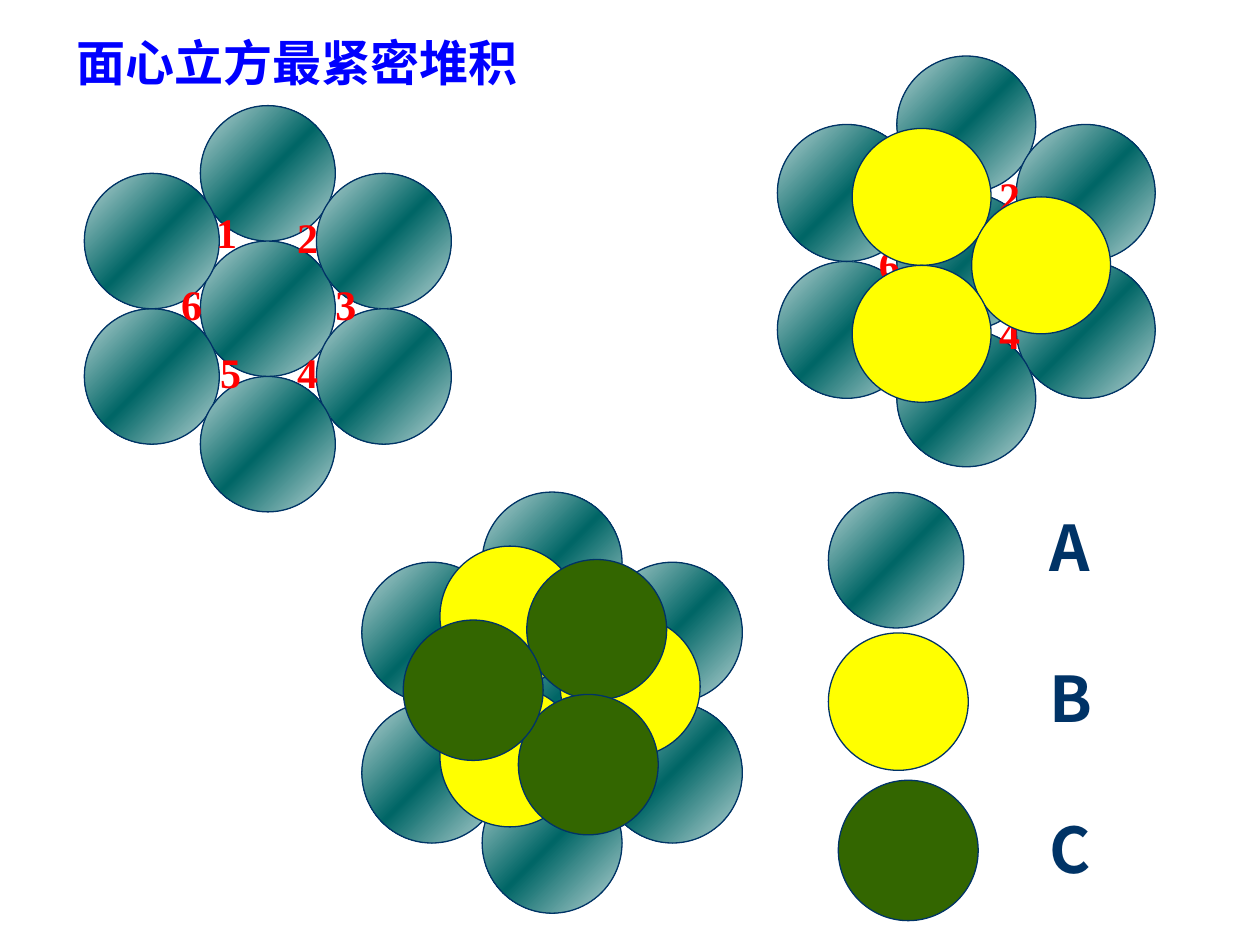
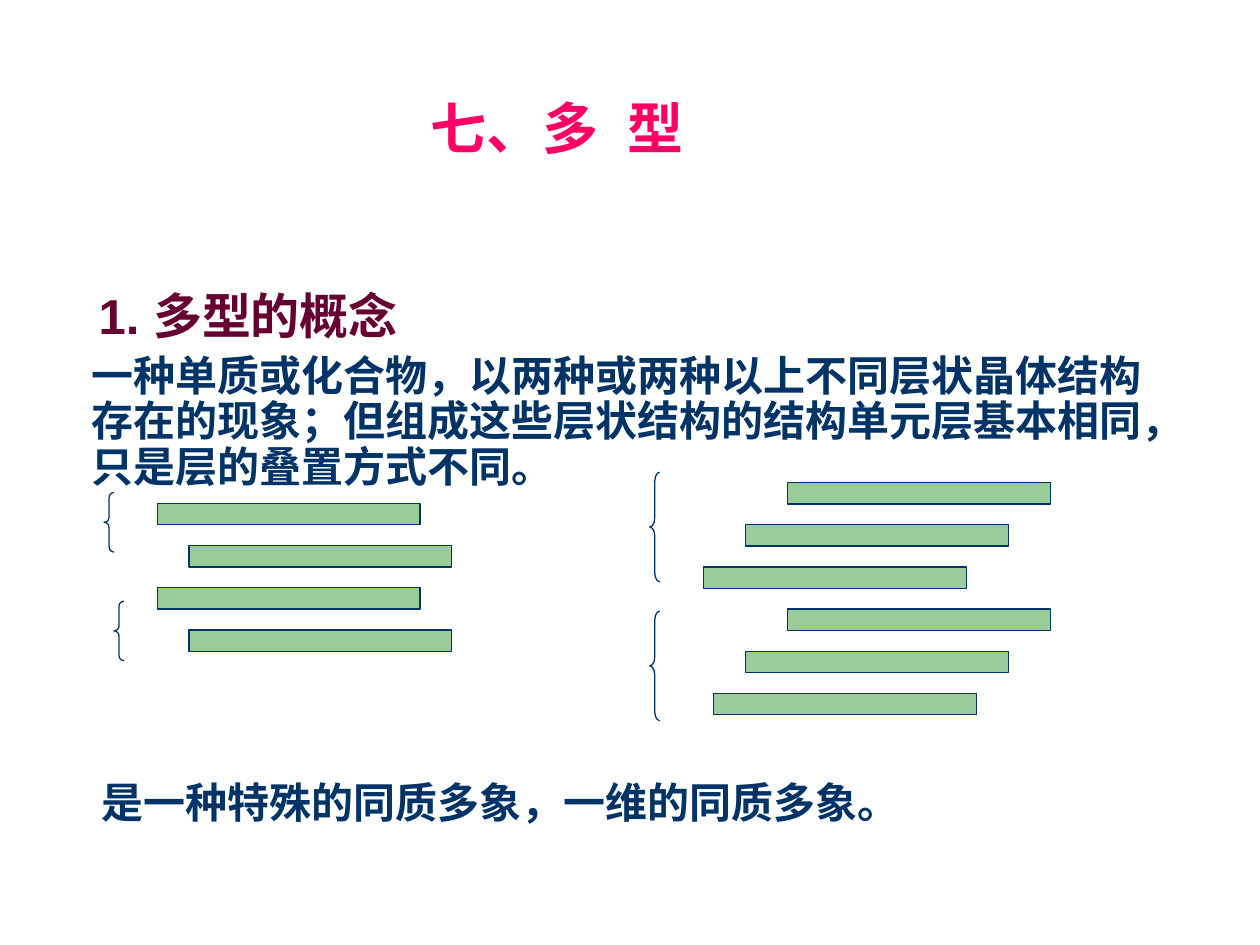
from copy import deepcopy
from dataclasses import dataclass

from lxml.etree import SubElement
from pptx import Presentation
from pptx.dml.color import RGBColor
from pptx.enum.shapes import MSO_SHAPE as Preset
from pptx.enum.text import MSO_ANCHOR as Anchor, MSO_AUTO_SIZE as AutoSize, PP_ALIGN as Align
from pptx.oxml.ns import qn
from pptx.util import Cm, Pt

NAVY, RED, BLUE = "003366", "FF0000", "0000FF"
PINK, MAROON, LAYER_GREEN = "FF0066", "660033", "99CC99"
SPHERE_A, SPHERE_B, SPHERE_C = ("BED8D8", "006666", "BED8D8"), "FFFF00", "336600"
CJK, ARIAL, TIMES = "Noto Sans CJK SC", "Arial", "Times New Roman"

SINGLE = ((0, 0),)
FLOWER = ((0, 0), (0, -1), (1, -0.5), (-1, 0.5), (1, 0.5), (0, 1), (-1, -0.5))
TRIANGLE = ((0, 0), (1, 0.5), (0, 1))
COLUMN_RATIO = 0.86
LAYER_PITCH = 0.85


@dataclass(frozen=True)
class Cluster:
    left: float
    top: float
    width: float
    height: float
    fill: str | tuple
    cells: tuple = SINGLE


@dataclass(frozen=True)
class Label:
    text: str
    left: float
    top: float


@dataclass(frozen=True)
class LayerStack:
    top: float
    lefts: tuple


@dataclass(frozen=True)
class Brace:
    left: float
    top: float
    height: float


FIRST_LAYER = [Cluster(4.04, 4.86, 2.72, 2.73, SPHERE_A, FLOWER)]
FIRST_GAPS = [
    Label("1", 4.11, 4.04), Label("2", 5.74, 4.14), Label("3", 6.51, 5.49),
    Label("4", 5.74, 6.86), Label("5", 4.19, 6.86), Label("6", 3.4, 5.49),
]
SECOND_BASE = [Cluster(18.08, 3.89, 2.8, 2.76, SPHERE_A, FLOWER)]
SECOND_GAPS = [Label("2", 19.89, 3.3), Label("4", 19.89, 6.07), Label("6", 17.47, 4.67)]
SECOND_TOP = [Cluster(17.18, 2.59, 2.8, 2.76, SPHERE_B, TRIANGLE)]
THIRD_LAYER = [
    Cluster(9.72, 12.75, 2.82, 2.83, SPHERE_A, FLOWER),
    Cluster(8.87, 11.01, 2.82, 2.83, SPHERE_B, TRIANGLE),
    Cluster(10.62, 11.28, 2.82, 2.83, SPHERE_C),
    Cluster(10.45, 14, 2.82, 2.83, SPHERE_C),
    Cluster(8.13, 12.5, 2.82, 2.83, SPHERE_C),
]
LEGEND = [
    Cluster(16.7, 9.93, 2.73, 2.73, SPHERE_A),
    Cluster(16.7, 12.76, 2.82, 2.77, SPHERE_B),
    Cluster(16.9, 15.73, 2.82, 2.83, SPHERE_C),
]
STACKS = [
    LayerStack(10.15, (3.17, 3.81) * 2),
    LayerStack(9.73, (15.88, 15.03, 14.18, 15.88, 15.03, 14.39)),
]
BRACES = [
    Brace(2.1, 9.93, 1.2), Brace(2.3, 12.12, 1.2),
    Brace(13.1, 9.52, 2.21), Brace(13.1, 12.32, 2.21),
]


def rgb(value: str) -> RGBColor:
    return RGBColor.from_string(value)


def write(paragraph, text: str, *, size: float, color: str, font: str = CJK,
          align=Align.LEFT, line_spacing: float = 1, before: float = 0,
          indent: float = 0, space_extra: float = 0) -> None:
    p_pr = paragraph._p.get_or_add_pPr()
    p_pr.set("marL", str(Cm(indent)))
    p_pr.set("indent", "0")
    SubElement(p_pr, qn("a:buNone"))
    paragraph.alignment = align
    paragraph.line_spacing = line_spacing
    paragraph.space_before = Pt(before)
    for piece in text.partition(" ") if space_extra else (text,):
        run = paragraph.add_run()
        run.text = piece
        run.font.size = Pt(size)
        run.font.bold = True
        run.font.color.rgb = rgb(color)
        run.font.name = font
        r_pr = run._r.get_or_add_rPr()
        SubElement(r_pr, qn("a:ea")).set("typeface", CJK)
        if piece == " ":
            r_pr.set("spc", str(round(space_extra * 100)))


def place(shape, left: float, top: float, width: float, height: float, anchor=Anchor.TOP):
    shape.left, shape.top, shape.width, shape.height = map(Cm, (left, top, width, height))
    frame = shape.text_frame
    frame.word_wrap = True
    frame.auto_size = AutoSize.NONE
    frame.vertical_anchor = anchor
    frame.margin_left = frame.margin_right = Cm(0.25)
    frame.margin_top = frame.margin_bottom = Cm(0.13)
    return frame


def add_outlined(slide, preset, left: float, top: float, width: float, height: float,
                 fill: str | tuple | None = None):
    shape = slide.shapes.add_shape(preset, Cm(left), Cm(top), Cm(width), Cm(height))
    shape.shadow.inherit = False
    shape.line.color.rgb = rgb(NAVY)
    shape.line.width = Pt(0.75)
    if fill is None:
        shape.fill.background()
    elif isinstance(fill, tuple):
        shape.fill.gradient()
        shape.fill.gradient_angle = 315
        stop_list = shape._element.spPr.find(qn("a:gradFill")).find(qn("a:gsLst"))
        stop_list.append(deepcopy(stop_list[0]))
        for stop, color, position in zip(shape.fill.gradient_stops, fill, (0, 0.5, 1)):
            stop.color.rgb = rgb(color)
            stop.position = position
    else:
        shape.fill.solid()
        shape.fill.fore_color.rgb = rgb(fill)
    return shape


def draw_clusters(slide, clusters: list[Cluster]) -> None:
    for cluster in clusters:
        for column, row in cluster.cells:
            add_outlined(slide, Preset.OVAL,
                         cluster.left + column * cluster.width * COLUMN_RATIO,
                         cluster.top + row * cluster.height,
                         cluster.width, cluster.height, cluster.fill)


def draw_labels(slide, labels: list[Label], width: float, height: float, **style) -> None:
    for label in labels:
        box = slide.shapes.add_textbox(0, 0, 0, 0)
        frame = place(box, label.left, label.top, width, height)
        write(frame.paragraphs[0], label.text, **style)


def draw_stacks(slide, stacks: list[LayerStack]) -> None:
    for stack in stacks:
        for level, left in enumerate(stack.lefts):
            add_outlined(slide, Preset.RECTANGLE, left, stack.top + level * LAYER_PITCH,
                         5.3, 0.43, LAYER_GREEN)


def draw_braces(slide, braces: list[Brace]) -> None:
    width = 0.2
    for brace in braces:
        shape = add_outlined(slide, Preset.LEFT_BRACE, brace.left, brace.top, width, brace.height)
        shape.adjustments[0] = brace.height / (12 * width)


def build_packing_slide(deck) -> None:
    slide = deck.slides.add_slide(deck.slide_layouts[5])
    title = place(slide.shapes.title, 1.3, 0.53, 12.2, 1.45)
    write(title.paragraphs[0], "面心立方最紧密堆积", size=28, color=BLUE)

    gap_style = dict(width=0.92, height=1.27, size=24, color=RED, font=TIMES)
    draw_clusters(slide, FIRST_LAYER)
    draw_labels(slide, FIRST_GAPS, **gap_style)
    draw_clusters(slide, SECOND_BASE)
    draw_labels(slide, SECOND_GAPS, **gap_style)
    draw_clusters(slide, SECOND_TOP + THIRD_LAYER + LEGEND)
    letters = [Label(letter, 20.9, 10.13 + 3.04 * row) for row, letter in enumerate("ABC")]
    draw_labels(slide, letters, 1.8, 1.8, size=36, color=NAVY)


def build_polytype_slide(deck) -> None:
    slide = deck.slides.add_slide(deck.slide_layouts[1])
    title = place(slide.shapes.title, 4.88, 1.05, 12.7, 2.34, Anchor.BOTTOM)
    write(title.paragraphs[0], "七、多 型", size=32, color=PINK, font=ARIAL,
          align=Align.CENTER, line_spacing=0.9, space_extra=8.9)

    body = place(slide.placeholders[1], 1.6, 5.75, 21.75, 11.4)
    write(body.paragraphs[0], "1. 多型的概念", size=28, color=MAROON, font=ARIAL,
          line_spacing=0.9, indent=0.14)
    body_style = dict(size=24, color=NAVY, font=ARIAL, line_spacing=0.9)
    write(body.add_paragraph(),
          "一种单质或化合物，以两种或两种以上不同层状晶体结构存在的现象；"
          "但组成这些层状结构的结构单元层基本相同，只是层的叠置方式不同。",
          before=6, **body_style)
    write(body.add_paragraph(), "是一种特殊的同质多象，一维的同质多象。",
          before=166.5, indent=0.2, **body_style)

    draw_stacks(slide, STACKS)
    draw_braces(slide, BRACES)


def main() -> None:
    deck = Presentation()
    deck.slide_width, deck.slide_height = Cm(25.4), Cm(19.05)
    build_packing_slide(deck)
    build_polytype_slide(deck)
    deck.save("out.pptx")


if __name__ == "__main__":
    main()
